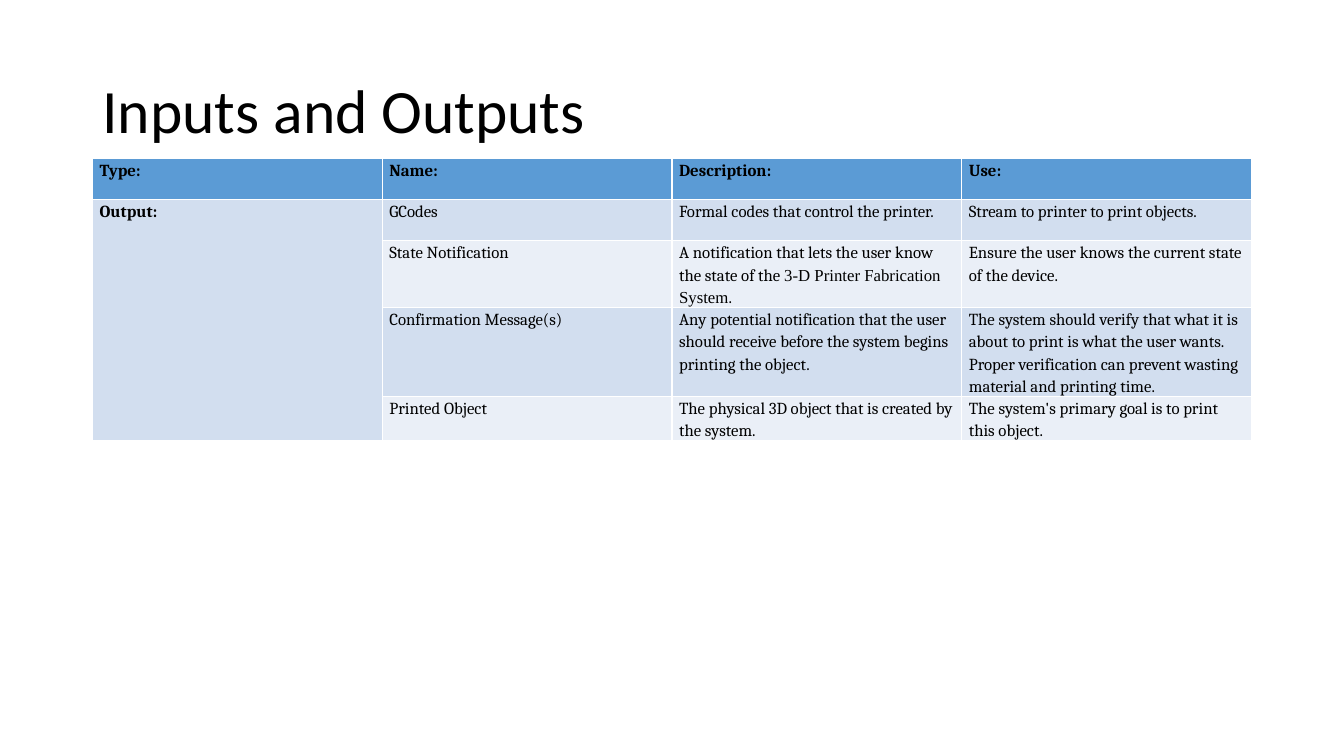
from pptx import Presentation
from pptx.dml.color import RGBColor
from pptx.enum.text import MSO_ANCHOR as Anchor, PP_ALIGN as Align
from pptx.util import Cm, Pt

BLACK = RGBColor(0x00, 0x00, 0x00)
HEADER_BLUE = RGBColor(0x5B, 0x9B, 0xD5)
BAND_DARK = RGBColor(0xD2, 0xDE, 0xEF)
BAND_LIGHT = RGBColor(0xEA, 0xEF, 0xF7)

LEFT, WIDTH = Cm(2.33), Cm(29.21)
ROW_HEIGHT = Cm(1.04)

SYSTEM_NAME = "3-D Printer Fabrication System"
HEADINGS = ["Type:", "Name:", "Description:", "Use:"]
OUTPUTS = [
    ["GCodes", "Formal codes that control the printer.",
     "Stream to printer to print objects."],
    ["State Notification",
     f"A notification that lets the user know the state of the {SYSTEM_NAME}.",
     "Ensure the user knows the current state of the device."],
    ["Confirmation Message(s)",
     "Any potential notification that the user should receive before the "
     "system begins printing the object.",
     "The system should verify that what it is about to print is what the user "
     "wants. Proper verification can prevent wasting material and printing time."],
    ["Printed Object", "The physical 3D object that is created by the system.",
     "The system's primary goal is to print this object."],
]


def add_span(para, text, font="Cambria", size=12, bold=False):
    span = para.add_run()
    span.text = text
    span.font.name = font
    span.font.size = Pt(size)
    span.font.bold = bold
    span.font.color.rgb = BLACK


def set_title(page, text):
    title = page.shapes.title
    title.left, title.top, title.width, title.height = LEFT, Cm(1.01), WIDTH, Cm(3.68)
    title.text_frame.vertical_anchor = Anchor.MIDDLE
    para = title.text_frame.paragraphs[0]
    para.alignment = Align.LEFT
    para.line_spacing = 0.9
    add_span(para, text, font="Calibri", size=44)


def fill_cell(cell, text, color, bold=False):
    """Format a cell and set the system name in its own font."""
    cell.fill.solid()
    cell.fill.fore_color.rgb = color
    cell.margin_left = cell.margin_right = Cm(0.18)
    cell.margin_top = cell.margin_bottom = 0
    para = cell.text_frame.paragraphs[0]
    para.line_spacing = 1.15
    para.space_after = Pt(10)
    before, name, after = text.partition(SYSTEM_NAME)
    add_span(para, before, bold=bold)
    if name:
        add_span(para, name, font="Times New Roman", bold=bold)
        add_span(para, after, bold=bold)


def add_output_table(page):
    row_count = len(OUTPUTS) + 1
    table = page.shapes.add_table(row_count, len(HEADINGS), LEFT, Cm(3.99),
                                  WIDTH, ROW_HEIGHT * row_count).table
    for column, heading in enumerate(HEADINGS):
        fill_cell(table.cell(0, column), heading, HEADER_BLUE, bold=True)
    for row, output in enumerate(OUTPUTS, start=1):
        band = BAND_DARK if row % 2 else BAND_LIGHT
        for column, text in enumerate(output, start=1):
            fill_cell(table.cell(row, column), text, band)
    type_cell = table.cell(1, 0)
    type_cell.merge(table.cell(row_count - 1, 0))
    fill_cell(type_cell, "Output:", BAND_DARK, bold=True)


def main():
    deck = Presentation()
    deck.slide_width, deck.slide_height = Cm(33.87), Cm(19.05)
    page = deck.slides.add_slide(deck.slide_layouts[5])
    set_title(page, "Inputs and Outputs")
    add_output_table(page)
    deck.save("out.pptx")


if __name__ == "__main__":
    main()
